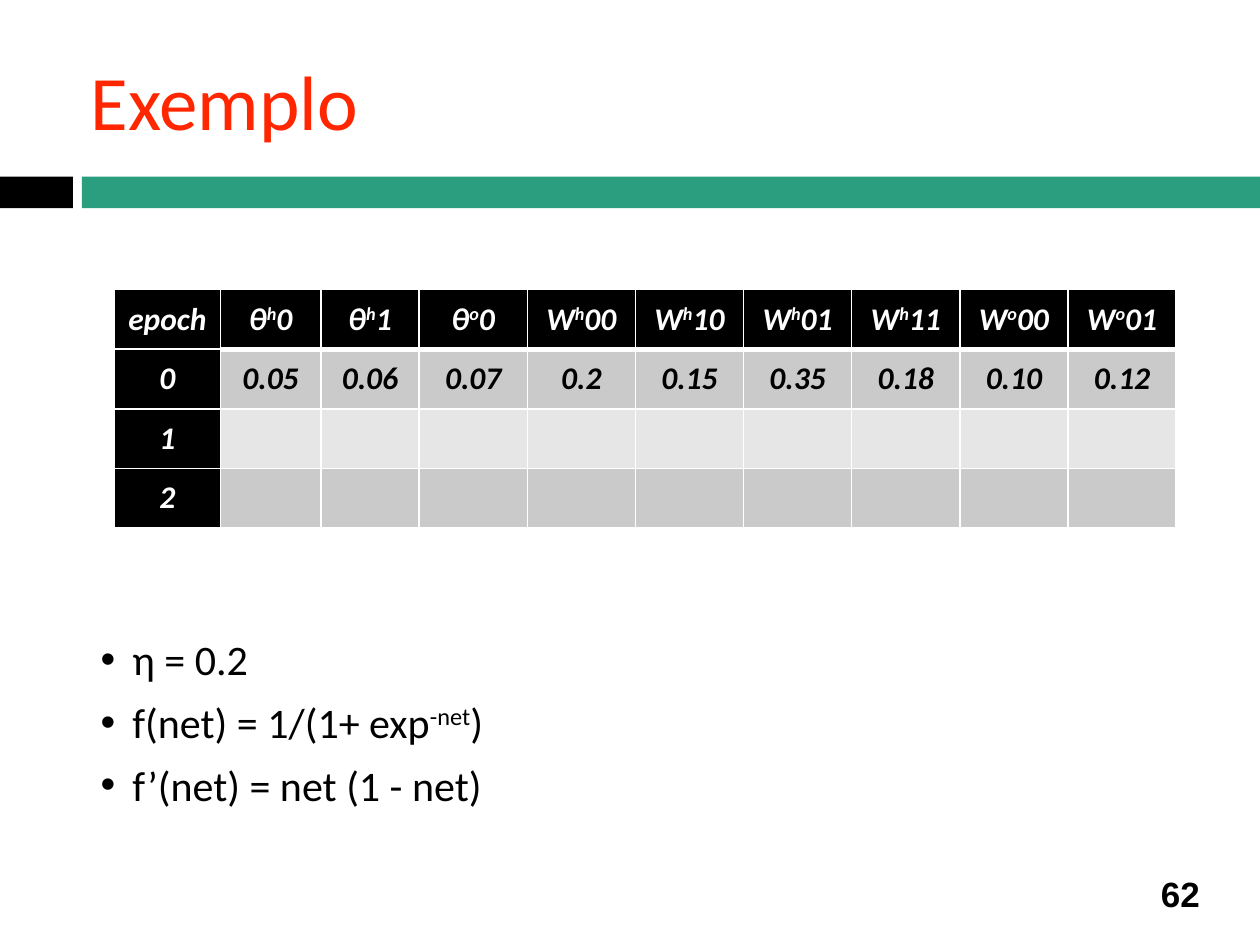
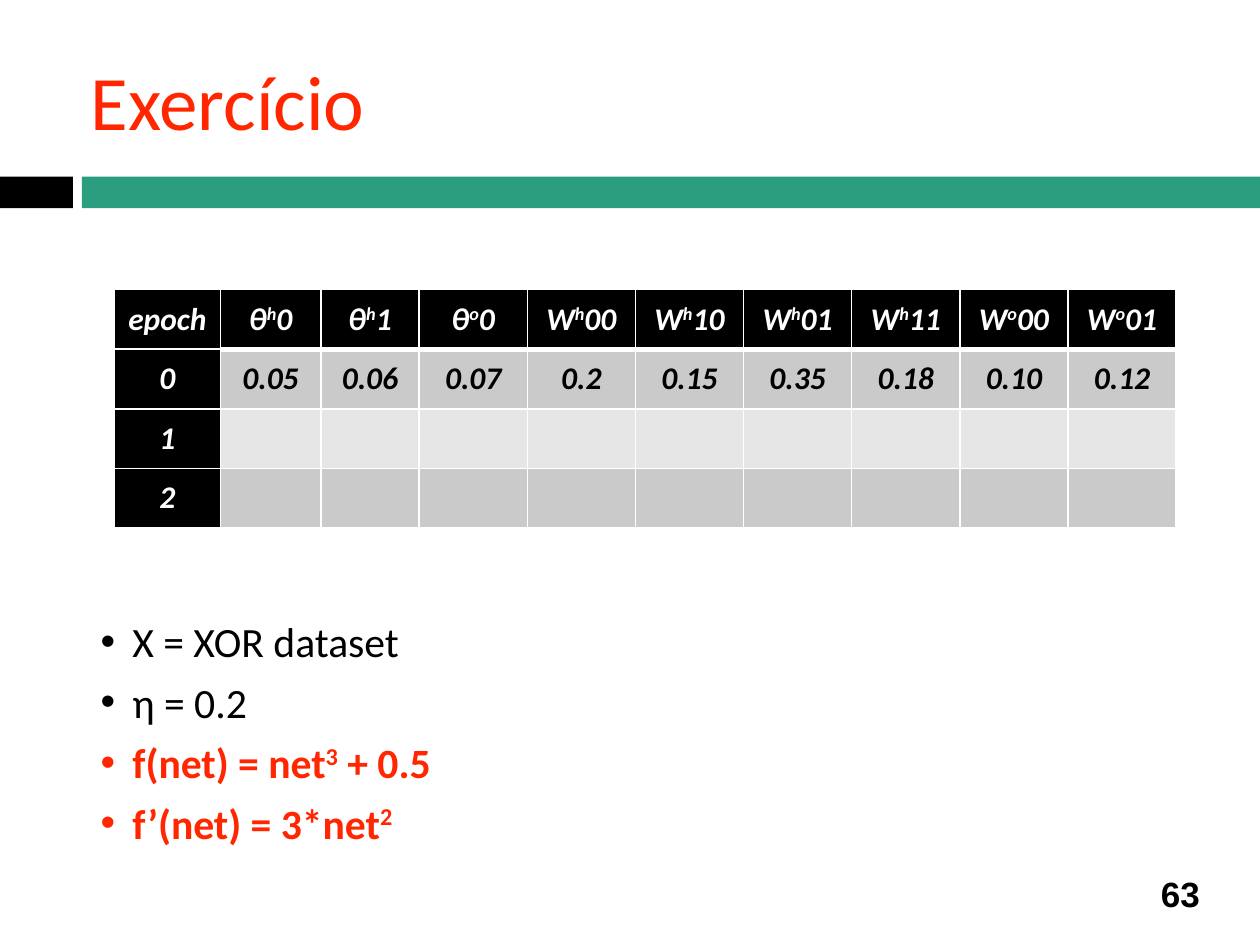
from dataclasses import dataclass

from lxml.etree import SubElement
from pptx import Presentation
from pptx.dml.color import RGBColor
from pptx.enum.shapes import MSO_SHAPE
from pptx.enum.text import MSO_ANCHOR, PP_ALIGN
from pptx.oxml import parse_xml
from pptx.oxml.ns import nsdecls, qn
from pptx.util import Cm, Pt

# Text between two ^ marks is superscript.
HEADER = ["epoch", "θ^h^0", "θ^h^1", "θ^o^0", "W^h^00", "W^h^10",
          "W^h^01", "W^h^11", "W^o^00", "W^o^01"]
ROWS = [
    HEADER,
    ["0", "0.05", "0.06", "0.07", "0.2", "0.15", "0.35", "0.18", "0.10", "0.12"],
    ["1"] + [""] * 9,
    ["2"] + [""] * 9,
]
# Each bullet is (text, highlighted).
SLIDES = [
    dict(title="Exemplo", number=62, top=12.65, size=24, gap=7, bullets=[
        ("η = 0.2", False),
        ("f(net) = 1/(1+ exp^-net^)", False),
        ("f’(net) = net (1 - net)", False),
    ]),
    dict(title="Exercício", number=63, top=12.29, size=23.8, gap=6, bullets=[
        ("X = XOR dataset", False),
        ("η = 0.2", False),
        ("f(net) = net^3^ + 0.5", True),
        ("f’(net) = 3*net^2^", True),
    ]),
]


@dataclass(frozen=True)
class Theme:
    black: str = "000000"
    white: str = "FFFFFF"
    red: str = "FF2600"
    green: str = "2A9E7E"
    stripes: tuple = ("CACACA", "E6E6E6")
    font: str = "Calibri"
    number_font: str = "Arial"
    title_size: float = 44
    number_size: float = 20
    cell_size: float = 18


T = Theme()
WIDTH, HEIGHT = 25.4, 19.05
BAND_TOP, BAND_HEIGHT = 3.56, 0.64
BANDS = [(0, 1.47, T.black), (1.65, WIDTH - 1.65, T.green)]
COL_WIDTHS = [2.13, 2.03, 1.98] + [2.18] * 7
ROW_HEIGHT = 1.2
TABLE_LEFT, TABLE_TOP = 2.31, 5.84
INSET, CELL_INSET = 0.13, 0.18
BULLET_INDENT = 0.64
MARGINS = ("margin_left", "margin_top", "margin_right", "margin_bottom")


def write(p, text, color, size, name=T.font, **style):
    """Add runs to a paragraph, raising the parts between ^ marks."""
    style = dict(size=Pt(size), name=name, **style)
    for i, part in enumerate(text.split("^")):
        if not part:
            continue
        r = p.add_run()
        r.text = part
        for key, value in style.items():
            setattr(r.font, key, value)
        r.font.color.rgb = RGBColor.from_string(color)
        if i % 2:
            r.font._element.set("baseline", "32000")


def add_text_box(s, left, top, width, height, anchor):
    tf = s.shapes.add_textbox(Cm(left), Cm(top), Cm(width), Cm(height)).text_frame
    tf.word_wrap = True
    tf.vertical_anchor = anchor
    for margin in MARGINS:
        setattr(tf, margin, Cm(INSET))
    return tf


def add_frame(s, title, number):
    """Add the bands, title and slide number that all slides share."""
    for left, width, color in BANDS:
        sp = s.shapes.add_shape(MSO_SHAPE.RECTANGLE, Cm(left), Cm(BAND_TOP),
                                Cm(width), Cm(BAND_HEIGHT))
        sp.shadow.inherit = False
        sp.fill.solid()
        sp.fill.fore_color.rgb = RGBColor.from_string(color)
        sp.line.fill.background()
    tf = add_text_box(s, 1.7, 0.64, 22.66, 2.74, MSO_ANCHOR.MIDDLE)
    write(tf.paragraphs[0], title, T.red, T.title_size)
    tf = add_text_box(s, 23.06, 17.5, 1.47, 1.04, MSO_ANCHOR.MIDDLE)
    p = tf.paragraphs[0]
    p.alignment = PP_ALIGN.CENTER
    write(p, str(number), T.black, T.number_size, T.number_font, bold=True)


def set_borders(cell, widths):
    tc_pr = cell._tc.get_or_add_tcPr()
    for i, (side, width) in enumerate(widths.items()):
        tc_pr.insert(i, parse_xml(
            f'<a:ln{side} {nsdecls("a")} w="{Pt(width)}"><a:solidFill>'
            f'<a:srgbClr val="{T.white}"/></a:solidFill></a:ln{side}>'))


def add_weights_table(s):
    table = s.shapes.add_table(
        len(ROWS), len(HEADER), Cm(TABLE_LEFT), Cm(TABLE_TOP),
        Cm(sum(COL_WIDTHS)), Cm(ROW_HEIGHT * len(ROWS))).table
    for col, width in zip(table.columns, COL_WIDTHS):
        col.width = Cm(width)
    for r, values in enumerate(ROWS):
        table.rows[r].height = Cm(ROW_HEIGHT)
        for c, text in enumerate(values):
            cell = table.cell(r, c)
            is_head = r == 0 or c == 0
            fill = T.black if is_head else T.stripes[(r - 1) % 2]
            cell.fill.solid()
            cell.fill.fore_color.rgb = RGBColor.from_string(fill)
            cell.vertical_anchor = MSO_ANCHOR.MIDDLE
            for margin in MARGINS:
                setattr(cell, margin, Cm(CELL_INSET))
            set_borders(cell, {"L": 1, "R": 1,
                               "T": 3 if r == 1 and c else 1,
                               "B": 3 if r == 0 and c else 1})
            p = cell.text_frame.paragraphs[0]
            p.alignment = PP_ALIGN.CENTER
            write(p, text, T.white if is_head else T.black, T.cell_size,
                  bold=True, italic=True)


def add_bullets(s, bullets, top, size, gap):
    tf = add_text_box(s, 1.9, top, 22.25, 4.8, MSO_ANCHOR.TOP)
    for i, (text, highlighted) in enumerate(bullets):
        p = tf.add_paragraph() if i else tf.paragraphs[0]
        p.space_before = Pt(gap)
        p_pr = p._p.get_or_add_pPr()
        p_pr.set("marL", str(Cm(BULLET_INDENT)))
        p_pr.set("indent", str(-Cm(BULLET_INDENT)))
        SubElement(p_pr, qn("a:buFont"), typeface="Arial")
        SubElement(p_pr, qn("a:buChar"), char="•")
        write(p, text, T.red if highlighted else T.black, size, bold=highlighted)


def main():
    prs = Presentation()
    prs.slide_width, prs.slide_height = Cm(WIDTH), Cm(HEIGHT)
    for content in SLIDES:
        s = prs.slides.add_slide(prs.slide_layouts[6])
        add_frame(s, content["title"], content["number"])
        add_weights_table(s)
        add_bullets(s, content["bullets"], content["top"], content["size"],
                    content["gap"])
    prs.save("out.pptx")


if __name__ == "__main__":
    main()
